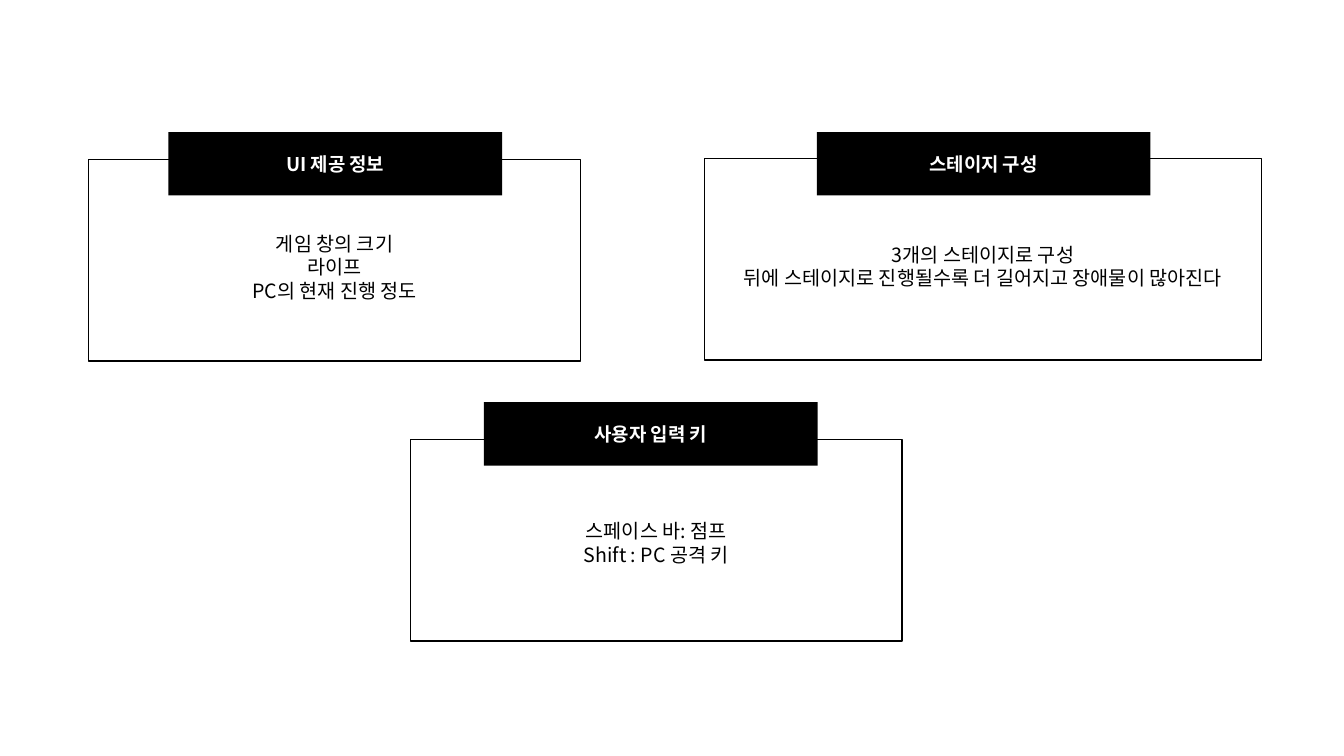
from dataclasses import dataclass

from lxml.etree import SubElement
from pptx import Presentation
from pptx.dml.color import RGBColor
from pptx.enum.shapes import MSO_SHAPE
from pptx.enum.text import MSO_ANCHOR, MSO_AUTO_SIZE, PP_ALIGN
from pptx.oxml.ns import qn
from pptx.shapes.autoshape import Shape
from pptx.shapes.shapetree import GroupShapes
from pptx.text.text import TextFrame
from pptx.util import Inches, Pt

COLORS = {"ink": "000000", "paper": "FFFFFF"}
FONT = "Noto Sans CJK KR"
SLIDE_WIDTH, SLIDE_HEIGHT = Inches(13.33), Inches(7.5)

# Shared sizes, in percent of the slide's width or height
FRAME_HEIGHT = 26.67
BANNER_WIDTH, BANNER_HEIGHT = 24.83, 8.4
TEXT_PADDING, LINE_HEIGHT = 1.33, 3.15


@dataclass
class Panel:
    """A titled frame; positions are percentages of the slide's size."""
    title: str
    lines: list[str]
    left: float
    top: float
    width: float
    banner_left: float
    banner_top: float
    text_top: float
    text_width: float


PANELS = [
    Panel("UI 제공 정보", ["게임 창의 크기", "라이프", "PC의 현재 진행 정도"],
          6.6, 21.07, 36.6, 12.53, 17.47, 30, 15.15),
    Panel("스테이지 구성",
          ["3개의 스테이지로 구성", "뒤에 스테이지로 진행될수록 더 길어지고 장애물이 많아진다"],
          52.44, 20.93, 41.41, 60.77, 17.47, 31.47, 41.41),
    Panel("사용자 입력 키", ["스페이스 바: 점프", "Shift : PC 공격 키"],
          30.53, 58.13, 36.6, 36.01, 53.2, 68, 13.2),
]


def place(left: float, top: float, width: float, height: float) -> tuple[int, ...]:
    """Turn percentages of the slide into lengths."""
    return (int(SLIDE_WIDTH * left / 100), int(SLIDE_HEIGHT * top / 100),
            int(SLIDE_WIDTH * width / 100), int(SLIDE_HEIGHT * height / 100))


def write_lines(frame: TextFrame, lines: list[str], size: float, color: str,
                bold: bool = False) -> None:
    for index, line in enumerate(lines):
        para = frame.paragraphs[0] if index == 0 else frame.add_paragraph()
        para.text = line
        para.alignment = PP_ALIGN.CENTER
        font = para.font
        font.name, font.size, font.bold = FONT, Pt(size), bold
        font.color.rgb = RGBColor.from_string(COLORS[color])
        # Korean glyphs take the East Asian typeface
        properties = para._p.pPr.find(qn("a:defRPr"))
        SubElement(properties, qn("a:ea"), typeface=FONT)


def add_rectangle(shapes: GroupShapes, area: tuple[int, ...]) -> Shape:
    box = shapes.add_shape(MSO_SHAPE.RECTANGLE, *area)
    box.shadow.inherit = False
    return box


def add_panel(shapes: GroupShapes, panel: Panel) -> None:
    # Outline
    outline = add_rectangle(
        shapes, place(panel.left, panel.top, panel.width, FRAME_HEIGHT))
    outline.fill.background()
    outline.line.color.rgb = RGBColor.from_string(COLORS["ink"])
    outline.line.width = Pt(1)

    # Title banner
    banner = add_rectangle(
        shapes, place(panel.banner_left, panel.banner_top, BANNER_WIDTH, BANNER_HEIGHT))
    banner.fill.solid()
    banner.fill.fore_color.rgb = RGBColor.from_string(COLORS["ink"])
    banner.line.fill.background()
    banner.text_frame.vertical_anchor = MSO_ANCHOR.MIDDLE
    write_lines(banner.text_frame, [panel.title], 13.5, "paper", bold=True)

    # Details, centred across the outline
    text_left = panel.left + (panel.width - panel.text_width) / 2
    text_height = TEXT_PADDING + LINE_HEIGHT * len(panel.lines)
    details = shapes.add_textbox(
        *place(text_left, panel.text_top, panel.text_width, text_height))
    details.text_frame.word_wrap = False
    details.text_frame.auto_size = MSO_AUTO_SIZE.SHAPE_TO_FIT_TEXT
    write_lines(details.text_frame, panel.lines, 14, "ink")


def main() -> None:
    deck = Presentation()
    deck.slide_width, deck.slide_height = SLIDE_WIDTH, SLIDE_HEIGHT
    page = deck.slides.add_slide(deck.slide_layouts[6])
    for panel in PANELS:
        add_panel(page.shapes.add_group_shape().shapes, panel)
    deck.save("out.pptx")


if __name__ == "__main__":
    main()
